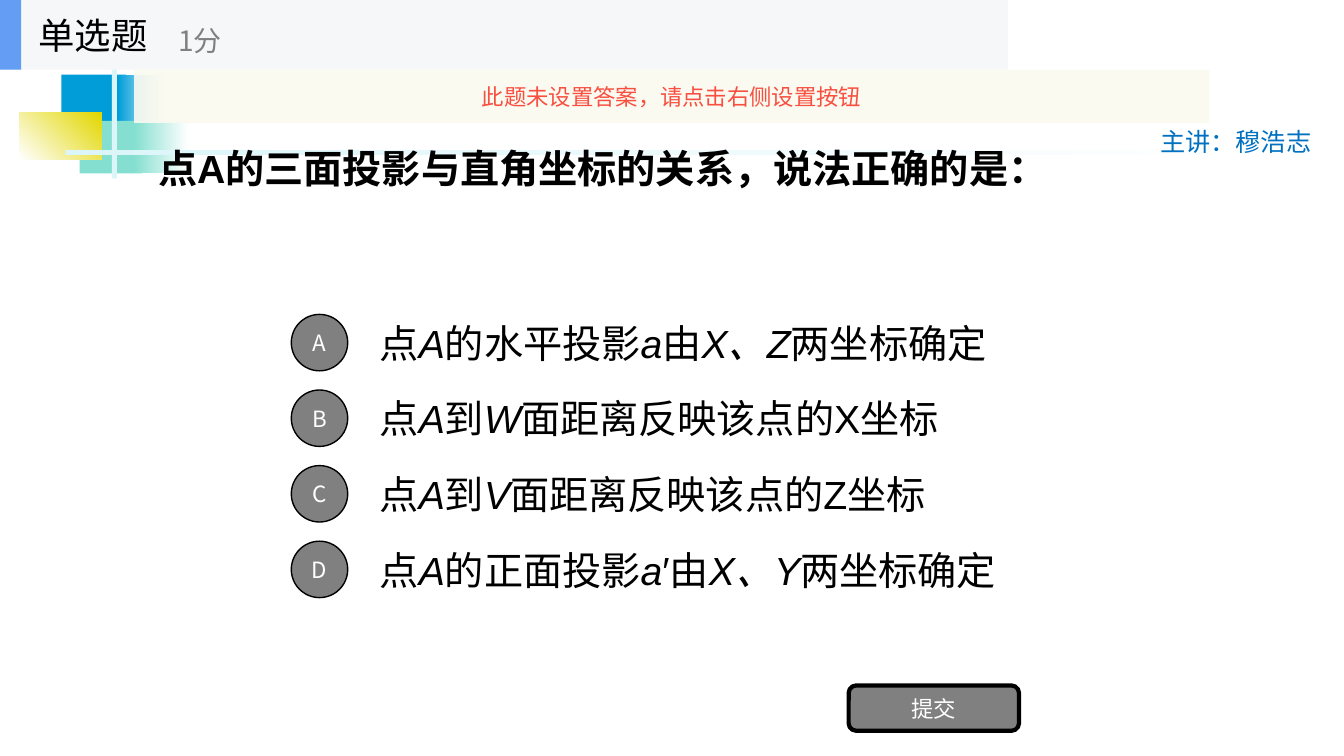
from lxml import etree
from pptx import Presentation
from pptx.dml.color import RGBColor
from pptx.enum.shapes import MSO_SHAPE
from pptx.enum.text import MSO_ANCHOR, PP_ALIGN
from pptx.oxml.ns import qn
from pptx.util import Pt

RECT = MSO_SHAPE.RECTANGLE
OVAL = MSO_SHAPE.OVAL
ROUND = MSO_SHAPE.ROUNDED_RECTANGLE
MID = MSO_ANCHOR.MIDDLE
TOP = MSO_ANCHOR.TOP
LEFT = PP_ALIGN.LEFT
MIDDLE = PP_ALIGN.CENTER
SANS = "Noto Sans CJK SC"
ARIAL = "Arial"
HUES = {
    "white": "FFFFFF", "black": "000000", "gray": "808080",
    "blue": "009DD9", "mint": "85DFD0", "gold": "E2D700", "pale": "DBF5F9",
    "link": "0070C0", "head": "F6F7F8", "bar": "639EF4",
    "cream": "FBFAEF", "red": "F84F41",
}
OPTIONS = [
    ("A", "点|A|的水平投影|a|由|X、Z|两坐标确定"),
    ("B", "点|A|到|W|面距离反映该点的X坐标"),
    ("C", "点|A|到|V|面距离反映该点的Z坐标"),
    ("D", "点|A|的正面投影|a|′由|X、Y|两坐标确定"),
]


def hue(name):
    return RGBColor.from_string(HUES[name])


def write(shape, runs, size, color, face=SANS, align=LEFT, anchor=MID, pad=None, bold=False):
    frame = shape.text_frame
    form = {"word_wrap": True, "vertical_anchor": anchor}
    if pad is not None:
        for side in ("left", "right", "top", "bottom"):
            form["margin_" + side] = Pt(pad)
    for key, value in form.items():
        setattr(frame, key, value)
    para = frame.paragraphs[0]
    para.alignment = align
    for i, words in enumerate(runs):
        run = para.add_run()
        run.text = words
        style = {"name": face, "size": Pt(size), "bold": bold, "italic": i % 2 == 1}
        for key, value in style.items():
            setattr(run.font, key, value)
        run.font.color.rgb = hue(color)
        east = etree.SubElement(run.font._element, qn("a:ea"))
        east.set("typeface", SANS)


def label(slide, box, runs, size, color, **form):
    write(slide.shapes.add_textbox(*map(Pt, box)), runs, size, color, **form)


def block(slide, box, fill, kind=RECT, fade=None, angle=0, line=0):
    shape = slide.shapes.add_shape(kind, *map(Pt, box))
    shape.shadow.inherit = False
    if fade:
        shape.fill.gradient()
        shape.fill.gradient_angle = angle
        for stop, name in zip(shape.fill.gradient_stops, (fill, fade)):
            stop.color.rgb = hue(name)
    else:
        shape.fill.solid()
        shape.fill.fore_color.rgb = hue(fill)
    if line:
        shape.line.color.rgb = hue("black")
        shape.line.width = Pt(line)
    else:
        shape.line.fill.background()
    return shape


def motif(slide, x, y):
    parts = [
        (30.2, 8.7, 46.1, 37.4, "blue", None, 0),
        (70.5, 8.7, 34.6, 37.4, "blue", "white", 0),
        (43.2, 41.8, 44.6, 37.4, "mint", None, 0),
        (82.1, 41.8, 38.9, 37.4, "mint", "white", 0),
        (0, 36, 59, 33.1, "white", "gold", 45),
        (66.2, 0, 3.6, 82.8, "pale", None, 0),
        (33.1, 62.7, 864, 3.6, "pale", "white", 0),
    ]
    for dx, dy, w, h, fill, fade, angle in parts:
        block(slide, (x + dx, y + dy, w, h), fill, fade=fade, angle=angle)


def option(slide, x, y, mark, words):
    label(slide, (x + 56.1, y, 504, 50.4), words.split("|"), 28, "black", face=ARIAL)
    disc = block(slide, (x, y + 5, 40.3, 40.3), "gray", kind=OVAL, line=1)
    write(disc, [mark], 16, "white", align=MIDDLE, pad=0)


def choices(slide, x, y, pitch):
    for i, (mark, words) in enumerate(OPTIONS):
        option(slide, x, y + i * pitch, mark, words)


def button(slide, box):
    shape = block(slide, box, "gray", kind=ROUND, line=3)
    write(shape, ["提交"], 16, "white", align=MIDDLE, pad=0)


def header(slide, x, y, w, h):
    block(slide, (x, y, w, h), "head")
    block(slide, (x, y, 15.1, h), "bar")
    label(slide, (x + 20.2, y, 149.8, h), ["单选题"], 26, "black")
    label(slide, (x + 120.2, y + 8.6, 180, 40.3), ["1分"], 20, "gray")


def banner(slide, box):
    shape = block(slide, box, "cream")
    tint = shape.fill._xPr.find(qn("a:solidFill"))[0]
    etree.SubElement(tint, qn("a:alpha")).set("val", "90000")
    write(shape, ["此题未设置答案，请点击右侧设置按钮"], 16, "red", align=MIDDLE)


def main():
    deck = Presentation()
    deck.slide_width, deck.slide_height = Pt(960), Pt(540)
    slide = deck.slides.add_slide(deck.slide_layouts[6])
    motif(slide, 13.7, 44.6)
    label(slide, (821.5, 86.4, 131, 28.8), ["主讲：穆浩志"], 18, "link", anchor=TOP)
    label(slide, (105.8, 55.4, 635, 129.6), ["点A的三面投影与直角坐标的关系，说法正确的是："],
          28, "black", face=ARIAL, bold=True)
    choices(slide, 208.1, 219.6, 54)
    button(slide, (606.2, 489.6, 121.7, 32.4))
    header(slide, 0, 0, 720, 49.7)
    banner(slide, (95.8, 49.7, 768, 38.2))
    deck.save("out.pptx")


if __name__ == "__main__":
    main()
